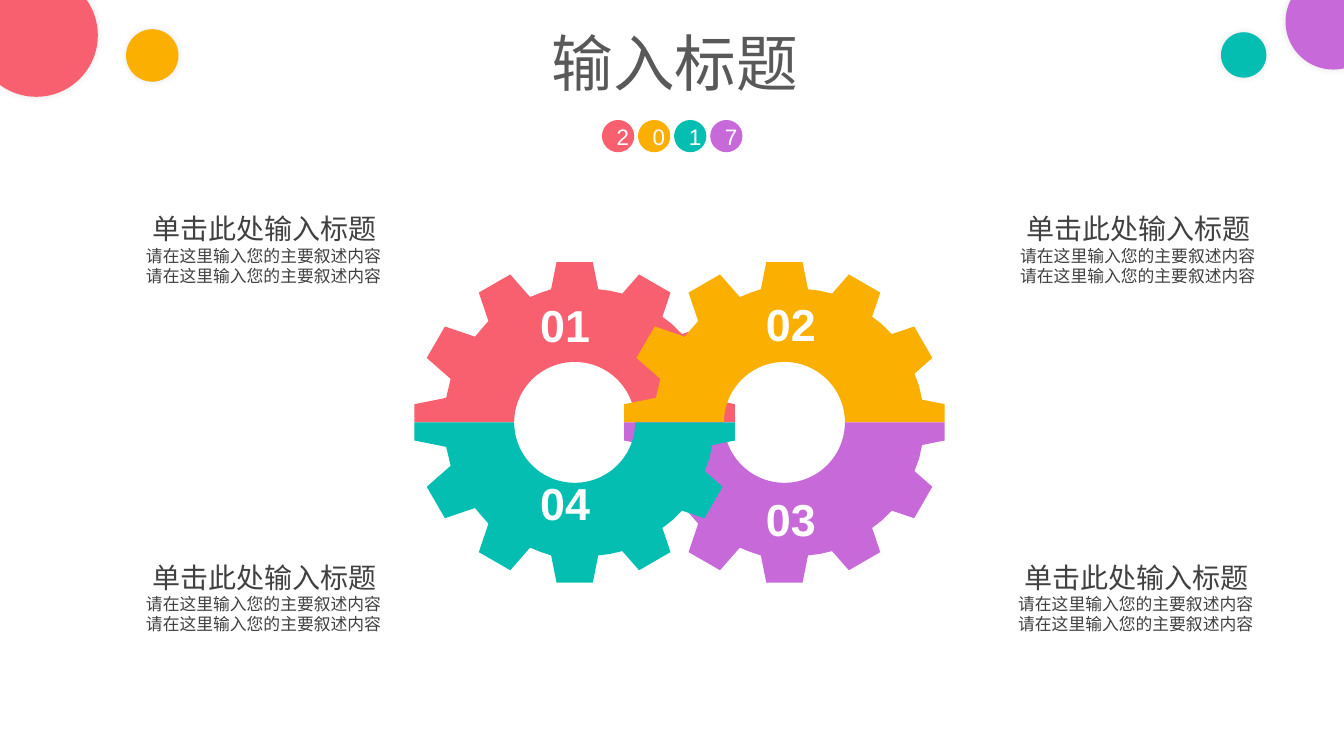
from dataclasses import dataclass
from math import cos, pi, sin
from typing import Optional

from lxml.etree import SubElement
from pptx import Presentation
from pptx.dml.color import RGBColor
from pptx.enum.shapes import MSO_SHAPE
from pptx.enum.text import MSO_ANCHOR, PP_ALIGN
from pptx.oxml.ns import qn
from pptx.util import Inches, Pt

CORAL = RGBColor(0xF8, 0x60, 0x70)
AMBER = RGBColor(0xFB, 0xAF, 0x01)
TEAL = RGBColor(0x04, 0xBF, 0xB1)
VIOLET = RGBColor(0xC7, 0x69, 0xD8)
WHITE = RGBColor(0xFF, 0xFF, 0xFF)
TITLE_GREY = RGBColor(0x59, 0x59, 0x59)
TEXT_GREY = RGBColor(0x40, 0x40, 0x40)
FONT = "Arial"

# Gear geometry, in inches
AXLE_Y = 4.19
TIP_RADIUS, TIP_HALF_WIDTH = 1.59, 0.18
ROOT_RADIUS, ROOT_SHIFT = 1.32, 0.045
TOOTH_TAPER = 0.2
HUB_RADIUS, HUB_STEPS = 0.6, 48


@dataclass
class Circle:
    left: float
    top: float
    size: float
    color: RGBColor
    digit: Optional[str] = None


@dataclass
class HalfGear:
    axle_x: float
    side: int  # -1 above the axle, 1 below it
    color: RGBColor
    number: str
    label_left: float
    label_top: float


@dataclass
class Caption:
    left: float
    top: float


YEAR = [Circle(5.97 + 0.358 * i, 1.19, 0.32, color, digit)
        for i, (digit, color) in enumerate(zip("2017", (CORAL, AMBER, TEAL, VIOLET)))]
CORNERS = [
    Circle(12.75, -0.26, 0.95, VIOLET),
    Circle(12.11, 0.32, 0.45, TEAL),
    Circle(-0.25, -0.26, 1.22, CORAL),
    Circle(1.25, 0.29, 0.52, AMBER),
]
GEARS = [
    HalfGear(5.7, -1, CORAL, "01", 5.12, 2.9),
    HalfGear(7.78, -1, AMBER, "02", 7.36, 2.89),
    HalfGear(7.78, 1, VIOLET, "03", 7.36, 4.83),
    HalfGear(5.7, 1, TEAL, "04", 5.12, 4.67),
]
CAPTIONS = [Caption(10, 5.51), Caption(1.35, 2.05), Caption(1.35, 5.51), Caption(10.02, 2.05)]


def add_run(p, text: str, size: int, color: RGBColor, bold: bool = False) -> None:
    r = p.add_run()
    r.text = text
    r.font.name = FONT
    r.font.size = Pt(size)
    r.font.bold = bold
    r.font.color.rgb = color


def paint(sp, color: RGBColor) -> None:
    sp.fill.solid()
    sp.fill.fore_color.rgb = color
    sp.line.fill.background()
    sp.shadow.inherit = False


def add_soft_shadow(sp) -> None:
    effects = sp._element.spPr.find(qn("a:effectLst"))
    shadow = SubElement(effects, qn("a:outerShdw"), blurRad=str(Pt(5)), dist="0", dir="0")
    black = SubElement(shadow, qn("a:srgbClr"), val="000000")
    SubElement(black, qn("a:alpha"), val="11000")


def add_circle(s, c: Circle) -> None:
    sp = s.shapes.add_shape(MSO_SHAPE.OVAL, Inches(c.left), Inches(c.top),
                            Inches(c.size), Inches(c.size))
    paint(sp, c.color)
    if c.digit is None:
        add_soft_shadow(sp)
        return
    tf = sp.text_frame
    tf.vertical_anchor = MSO_ANCHOR.MIDDLE
    tf.paragraphs[0].alignment = PP_ALIGN.CENTER
    add_run(tf.paragraphs[0], c.digit, 16, WHITE)


def half_gear_outline() -> list[tuple[float, float]]:
    """Outline from left to right over the teeth, then back round the hub; y points outwards."""
    points = [(-TIP_RADIUS, 0.0)]
    for tooth in range(7):
        angle = pi - tooth * pi / 6
        ux, uy = cos(angle), sin(angle)
        root = ROOT_RADIUS + ROOT_SHIFT * ux
        base = TIP_HALF_WIDTH + TOOTH_TAPER * (TIP_RADIUS - root)
        corners = [(root, -base), (TIP_RADIUS, -TIP_HALF_WIDTH),
                   (TIP_RADIUS, TIP_HALF_WIDTH), (root, base)]
        first, last = (2 if tooth == 0 else 0), (2 if tooth == 6 else 4)
        points += [(r * ux + w * uy, r * uy - w * ux) for r, w in corners[first:last]]
        if tooth < 6:
            gap = angle - pi / 12
            r = ROOT_RADIUS + 0.02 + ROOT_SHIFT * cos(gap)
            points.append((r * cos(gap), r * sin(gap)))
    points.append((TIP_RADIUS, 0.0))
    points += [(HUB_RADIUS * cos(pi * i / HUB_STEPS), HUB_RADIUS * sin(pi * i / HUB_STEPS))
               for i in range(HUB_STEPS + 1)]
    return points


def add_half_gear(s, gear: HalfGear) -> None:
    points = [(Inches(gear.axle_x + x), Inches(AXLE_Y + gear.side * y))
              for x, y in half_gear_outline()]
    builder = s.shapes.build_freeform(*points[0])
    builder.add_line_segments(points[1:])
    paint(builder.convert_to_shape(), gear.color)

    label = s.shapes.add_textbox(Inches(gear.label_left), Inches(gear.label_top),
                                 Inches(0.97), Inches(0.64))
    tf = label.text_frame
    tf.word_wrap = True
    tf.paragraphs[0].alignment = PP_ALIGN.CENTER
    add_run(tf.paragraphs[0], gear.number, 32, WHITE, bold=True)


def add_caption(s, caption: Caption) -> None:
    sp = s.shapes.add_textbox(Inches(caption.left), Inches(caption.top), Inches(2.56), Inches(1.38))
    tf = sp.text_frame
    tf.word_wrap = False
    p = tf.paragraphs[0]
    p._p.get_or_add_pPr().set("marL", str(Inches(0.06)))
    add_run(p, "单击此处输入标题", 20, TEXT_GREY)
    for _ in range(2):
        add_run(tf.add_paragraph(), "请在这里输入您的主要叙述内容", 12, TEXT_GREY)


def add_title(s) -> None:
    title = s.shapes.title
    title.left, title.top = Inches(5.37), Inches(0.2)
    title.width, title.height = Inches(2.67), Inches(0.84)
    tf = title.text_frame
    tf.word_wrap = False
    tf.vertical_anchor = MSO_ANCHOR.TOP
    p = tf.paragraphs[0]
    p.alignment = PP_ALIGN.LEFT
    add_run(p, "输入标题", 44, TITLE_GREY)


def main() -> None:
    prs = Presentation()
    prs.slide_width, prs.slide_height = Inches(13.33), Inches(7.5)
    s = prs.slides.add_slide(prs.slide_layouts.get_by_name("Title Only"))
    add_title(s)
    for circle in YEAR + CORNERS:
        add_circle(s, circle)
    for gear in GEARS:
        add_half_gear(s, gear)
    for caption in CAPTIONS:
        add_caption(s, caption)
    prs.save("out.pptx")


if __name__ == "__main__":
    main()
